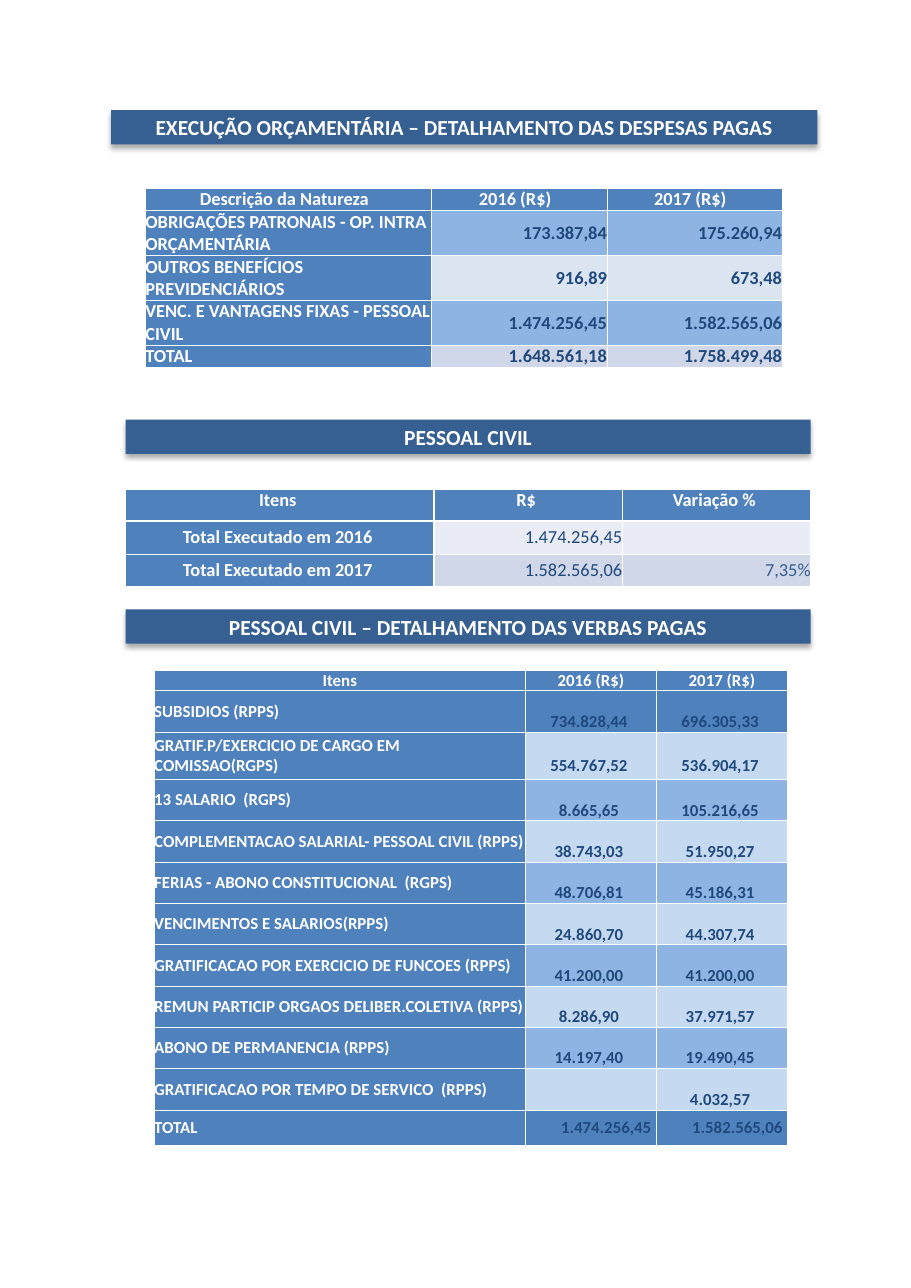
import pptx
import pptx.util
import pptx.dml.color
import pptx.enum.shapes
import pptx.enum.text
import pptx.oxml.ns
import lxml.etree
from dataclasses import dataclass

Pt = pptx.util.Pt
RGB = pptx.dml.color.RGBColor.from_string
qn = pptx.oxml.ns.qn
Align = pptx.enum.text.PP_ALIGN
Anchor = pptx.enum.text.MSO_ANCHOR


@dataclass(frozen=True)
class Theme:
    font: str = "Calibri"
    white: str = "FFFFFF"
    navy: str = "1F497D"
    slate: str = "365F91"
    bar: str = "376092"
    blue: str = "4F81BD"
    sky: str = "8DB4E3"
    pale: str = "C5D9F1"
    ice: str = "DBE5F1"
    mist: str = "E9ECF4"
    haze: str = "D0D7E8"
    title: float = 14
    body: float = 12
    small: float = 11


theme = Theme()


def write(frame, text, size, ink, align, bold=True):
    """Put one styled run, or an empty line of that size, into the frame."""
    para = frame.paragraphs[0]
    para.alignment = align
    if not text:
        end = lxml.etree.SubElement(para._p, qn("a:endParaRPr"))
        end.set("sz", str(int(size * 100)))
        return
    run = para.add_run()
    run.text = text
    run.font.name = theme.font
    run.font.size = Pt(size)
    run.font.bold = bold
    run.font.color.rgb = RGB(ink)


def grid(left, top, cols, rows, edge):
    """Add a plain table with white borders and no cell margins."""
    frame = slide.shapes.add_table(len(rows), len(cols), Pt(left), Pt(top),
                                   Pt(sum(cols)), Pt(sum(rows)))
    table = frame.table
    table.first_row = table.horz_banding = False
    for col, width in zip(table.columns, cols):
        col.width = Pt(width)
    for row, height in zip(table.rows, rows):
        row.height = Pt(height)
    for cell in table.iter_cells():
        cell.margin_left = cell.margin_right = cell.margin_top = cell.margin_bottom = 0
        cell.vertical_anchor = Anchor.MIDDLE
        for side in ("L", "R", "T", "B"):
            line = lxml.etree.SubElement(cell._tc.get_or_add_tcPr(), qn("a:ln" + side),
                                         w=str(Pt(edge)))
            fill = lxml.etree.SubElement(line, qn("a:solidFill"))
            lxml.etree.SubElement(fill, qn("a:srgbClr"), val=theme.white)
        cell.fill.solid()
        cell.fill.fore_color.rgb = RGB(theme.blue)
    return table


deck = pptx.Presentation()
deck.slide_width, deck.slide_height = Pt(595.44), Pt(841.68)
slide = deck.slides.add_slide(deck.slide_layouts[6])

# Section bars
for left, top, width, text in [
    (72.7, 72, 461.5, "EXECUÇÃO ORÇAMENTÁRIA – DETALHAMENTO DAS DESPESAS PAGAS"),
    (82.1, 274.3, 447.8, "PESSOAL CIVIL"),
    (82.1, 398.2, 447.8, "PESSOAL CIVIL – DETALHAMENTO DAS VERBAS PAGAS"),
]:
    bar = slide.shapes.add_shape(pptx.enum.shapes.MSO_SHAPE.RECTANGLE,
                                 Pt(left), Pt(top), Pt(width), Pt(22.4))
    bar.fill.solid()
    bar.fill.fore_color.rgb = RGB(theme.bar)
    bar.line.fill.background()
    bar.shadow.inherit = False
    glow = lxml.etree.SubElement(
        bar._element.spPr.find(qn("a:effectLst")), qn("a:outerShdw"),
        blurRad=str(Pt(3.5)), dist=str(Pt(2.2)), dir="5400000", rotWithShape="0")
    tint = lxml.etree.SubElement(glow, qn("a:srgbClr"), val="000000")
    lxml.etree.SubElement(tint, qn("a:alpha"), val="32000")
    bar.text_frame.word_wrap = True
    bar.text_frame.vertical_anchor = Anchor.MIDDLE
    write(bar.text_frame, text, theme.title, theme.white, Align.CENTER)

# Expenses by nature
costs = [
    ("Descrição da Natureza", "2016 (R$)", "2017 (R$)"),
    ("OBRIGAÇÕES PATRONAIS - OP. INTRA ORÇAMENTÁRIA", "173.387,84", "175.260,94"),
    ("OUTROS BENEFÍCIOS PREVIDENCIÁRIOS", "916,89", "673,48"),
    ("VENC. E VANTAGENS FIXAS - PESSOAL CIVIL", "1.474.256,45", "1.582.565,06"),
    ("TOTAL", "1.648.561,18", "1.758.499,48"),
]
fills = [theme.blue, theme.sky, theme.ice, theme.sky, theme.haze]
table = grid(95, 123.1, [187.2, 114.5, 114.5], [14.4, 28.1, 28.1, 28.1, 14.4], 0.5)
for r, line in enumerate(costs):
    for c, text in enumerate(line):
        cell = table.cell(r, c)
        ink, align = theme.white, Align.LEFT
        if r == 0:
            align = Align.CENTER
            cell.margin_right = Pt(5.4)
        elif c:
            ink, align = theme.navy, Align.RIGHT
            cell.fill.fore_color.rgb = RGB(fills[r])
        write(cell.text_frame, text, theme.body, ink, align)

# Yearly totals
years = [
    ("Itens", "R$", "Variação %"),
    ("Total Executado em 2016", "1.474.256,45", ""),
    ("Total Executado em 2017", "1.582.565,06", "7,35%"),
]
fills = [theme.blue, theme.mist, theme.haze]
table = grid(82.1, 319.7, [201.6, 123.1, 123.1], [20.9, 21.6, 20.9], 1)
for r, line in enumerate(years):
    for c, text in enumerate(line):
        cell = table.cell(r, c)
        head = r == 0 or c == 0
        ink, align = theme.white, Align.CENTER
        if head:
            cell.margin_right = Pt(2.7)
        else:
            ink, align = (theme.navy, theme.slate)[c - 1], Align.RIGHT
            cell.fill.fore_color.rgb = RGB(fills[r])
        if r == 0:
            cell.vertical_anchor = Anchor.TOP
        if r < 2:
            rule = cell._tc.tcPr.find(qn("a:lnT" if r else "a:lnB"))
            rule.set("w", str(Pt(1.5)))
        write(cell.text_frame, text, theme.body, ink, align, head)

# Pay items
items = [
    ("Itens", "2016 (R$)", "2017 (R$)"),
    ("SUBSIDIOS (RPPS)", "734.828,44", "696.305,33"),
    ("GRATIF.P/EXERCICIO DE CARGO EM COMISSAO(RGPS)", "554.767,52", "536.904,17"),
    ("13 SALARIO  (RGPS)", "8.665,65", "105.216,65"),
    ("COMPLEMENTACAO SALARIAL- PESSOAL CIVIL (RPPS)", "38.743,03", "51.950,27"),
    ("FERIAS - ABONO CONSTITUCIONAL  (RGPS)", "48.706,81", "45.186,31"),
    ("VENCIMENTOS E SALARIOS(RPPS)", "24.860,70", "44.307,74"),
    ("GRATIFICACAO POR EXERCICIO DE FUNCOES (RPPS)", "41.200,00", "41.200,00"),
    ("REMUN PARTICIP ORGAOS DELIBER.COLETIVA (RPPS)", "8.286,90", "37.971,57"),
    ("ABONO DE PERMANENCIA (RPPS)", "14.197,40", "19.490,45"),
    ("GRATIFICACAO POR TEMPO DE SERVICO  (RPPS)", "", "4.032,57"),
    ("TOTAL", "1.474.256,45", "1.582.565,06"),
]
last = len(items) - 1
table = grid(100.8, 437.8, [242.6, 85.7, 85.7], [13, 26, 31] + [26] * 8 + [23], 0.5)
for r, line in enumerate(items):
    for c, text in enumerate(line):
        cell = table.cell(r, c)
        ink, align = theme.white, Align.LEFT
        if r == 0:
            align = Align.CENTER
        elif c:
            ink, align = theme.navy, Align.CENTER
            if r == last:
                align = Align.RIGHT
                cell.margin_right = Pt(3.3)
            else:
                cell.margin_top, cell.margin_right = Pt(13.4), Pt(2.5)
            if 1 < r < last:
                cell.fill.fore_color.rgb = RGB(theme.sky if r % 2 else theme.pale)
        write(cell.text_frame, text, theme.small, ink, align)

deck.save("out.pptx")
